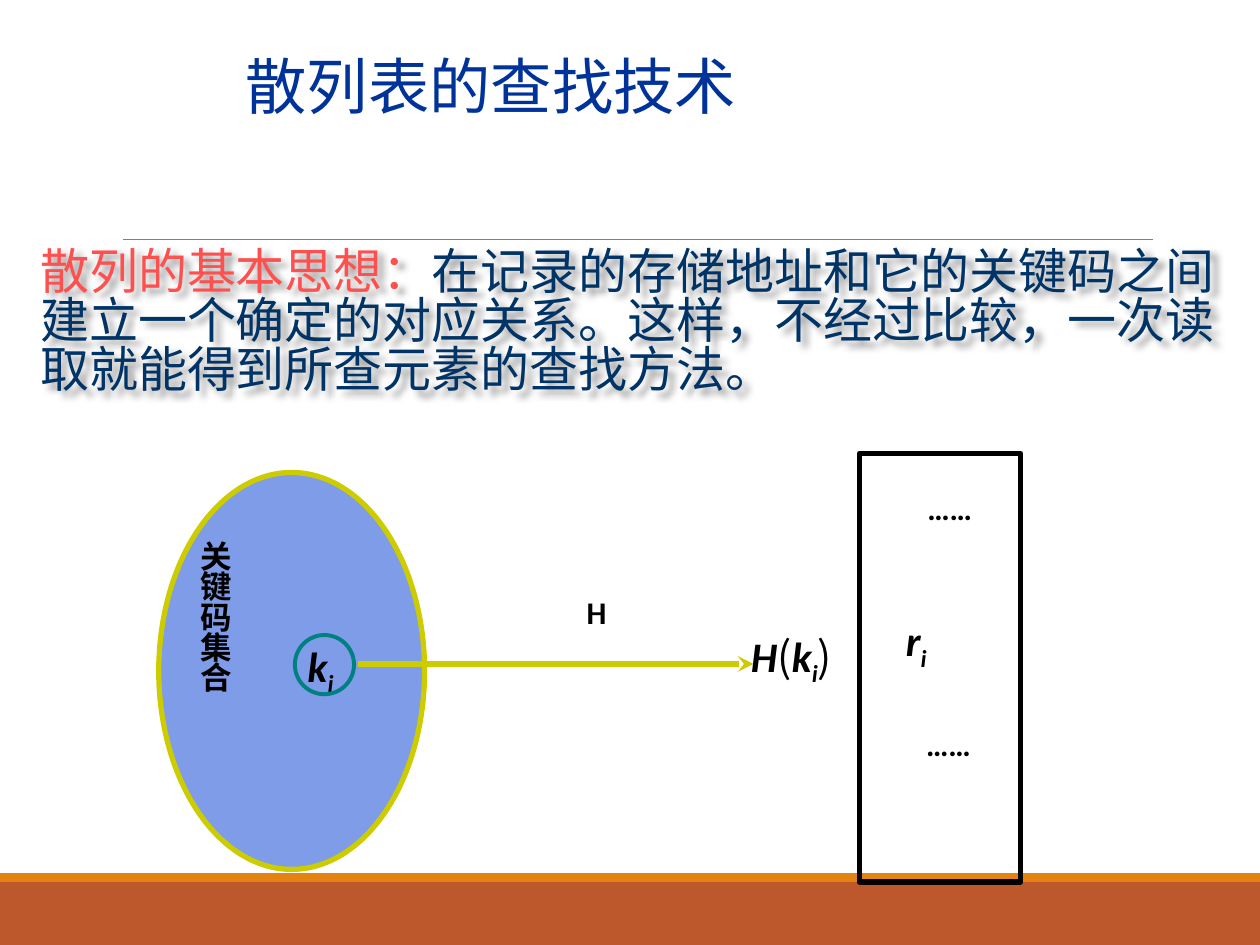
from dataclasses import dataclass

from lxml.etree import SubElement
from pptx import Presentation
from pptx.dml.color import RGBColor
from pptx.enum.shapes import MSO_CONNECTOR as Link, MSO_SHAPE as Shape
from pptx.enum.text import MSO_ANCHOR as Anchor, PP_ALIGN as Align
from pptx.oxml.ns import qn
from pptx.util import Inches, Pt

CJK = "Noto Sans CJK SC"
OLIVE = "CCCC00"
CELL = 0.1
LABEL = {"size": Pt(18), "name": "Calibri", "bold": True}
SYMBOL = {"size": Pt(24), "name": "Calibri", "bold": True, "italic": True}
BRACKET = {"size": Pt(24), "name": CJK, "bold": False, "italic": False}
KEY = [("k", SYMBOL), ("i", SYMBOL)]
RECORD = [("r", SYMBOL), ("i", SYMBOL)]


@dataclass
class Box:
    """An area measured in grid columns and rows."""
    col: float
    row: float
    cols: float
    rows: float

    def area(self, col, row, cols, rows):
        """Return an area placed from this box's corner."""
        return Box(self.col + col, self.row + row, cols, rows)

    def lengths(self):
        """Return left, top, width and height as slide lengths."""
        return [Inches(n * CELL) for n in (self.col, self.row, self.cols, self.rows)]


def color(value):
    """Turn a hex string into a colour."""
    return RGBColor.from_string(value)


def add_figure(page, kind, box, fill=None, line=None, width=3):
    """Add a preset shape with an optional fill and outline."""
    figure = page.shapes.add_shape(kind, *box.lengths())
    figure.shadow.inherit = False
    if fill:
        figure.fill.solid()
        figure.fill.fore_color.rgb = color(fill)
    else:
        figure.fill.background()
    if line:
        figure.line.color.rgb = color(line)
        figure.line.width = Pt(width)
    else:
        figure.line.fill.background()


def add_line(page, box, line, width, arrow=False):
    """Add a straight line across the box, with an optional arrowhead."""
    left, top, across, down = box.lengths()
    link = page.shapes.add_connector(Link.STRAIGHT, left, top, left + across, top + down)
    link.line.color.rgb = color(line)
    link.line.width = Pt(width)
    properties = link.element.spPr
    if arrow:
        SubElement(properties.find(qn("a:ln")), qn("a:tailEnd"), type="stealth")
    SubElement(properties, qn("a:effectLst"))


def write(shape, spans, ink="000000", spacing=0.96, align=Align.LEFT, anchor=Anchor.TOP):
    """Write one paragraph of formatted spans, lowering each index letter i."""
    frame = shape.text_frame
    settings = {"word_wrap": True, "vertical_anchor": anchor, "margin_left": 0,
                "margin_right": 0, "margin_top": 0, "margin_bottom": 0}
    for name, value in settings.items():
        setattr(frame, name, value)
    para = frame.paragraphs[0]
    para.alignment, para.line_spacing, para.space_before = align, spacing, 0
    for text, style in spans:
        span = para.add_run()
        span.text = text
        look = dict(style)
        span.font.color.rgb = color(look.pop("ink", ink))
        for name, value in look.items():
            setattr(span.font, name, value)
        properties = span.font._element
        SubElement(properties, qn("a:ea"), typeface=CJK)
        if text == "i":
            properties.set("baseline", "-25000")


def add_text(page, box, spans, **layout):
    """Add a text box holding the spans."""
    text_box = page.shapes.add_textbox(*box.lengths())
    write(text_box, spans, **layout)
    return text_box


def add_backdrop(page, box):
    """Draw the rule under the title and the two bars at the bottom."""
    add_figure(page, Shape.RECTANGLE, box.area(0, 70, box.cols, 5), "BD582C")
    add_figure(page, Shape.RECTANGLE, box.area(0, 69.3, box.cols, 0.7), "E48312")
    add_line(page, box.area(9.8, 19, 81.7, 0), "808080", 0.5)


def add_title(page, box):
    """Place and format the title."""
    title = page.shapes.title
    title.left, title.top, title.width, title.height = box.lengths()
    write(title, [("散列表的查找技术", {"size": Pt(35), "name": CJK})],
          ink="003399", spacing=0.84, anchor=Anchor.MIDDLE)


def add_idea(page, box):
    """Write the basic idea with a soft text shadow."""
    style = {"size": Pt(28), "name": CJK}
    text_box = add_text(page, box, [
        ("散列的基本思想：", {**style, "ink": "FF5050"}),
        ("在记录的存储地址和它的关键码之间建立一个确定的对应关系。"
         "这样，不经过比较，一次读取就能得到所查元素的查找方法。", style)],
        ink="003366", spacing=0.84)
    effects = SubElement(text_box.element.spPr, qn("a:effectLst"))
    shadow = SubElement(effects, qn("a:outerShdw"), blurRad="50800", dist="50800",
                        dir="2700000", algn="tl", rotWithShape="0")
    tint = SubElement(shadow, qn("a:srgbClr"), val="000000")
    SubElement(tint, qn("a:alpha"), val="40000")


def add_key_set(page, box):
    """Draw the set of keys with one key ringed."""
    add_figure(page, Shape.OVAL, box, "7E9CE8", OLIVE)
    add_text(page, box.area(3.3, 5.7, 3.4, 14.5),
             [("关键码集合", {**LABEL, "name": "Arial"})], spacing=0.8)
    add_text(page, box.area(11.8, 13.3, 4, 3.9), KEY)
    add_figure(page, Shape.OVAL, box.area(10.8, 12.9, 4.7, 4.7), None, "008080", 2.25)


def add_storage(page, box):
    """Draw the storage area with one record between dots."""
    add_figure(page, Shape.RECTANGLE, box, None, "000000")
    for col, row in ((5.4, 3), (5.3, 21.7)):
        add_text(page, box.area(col, row, 3.7, 2.9), [("……", LABEL)])
    add_text(page, box.area(3.7, 12.8, 4, 3.9), RECORD)


def add_mapping(page, box):
    """Draw the hash function arrow from the key to its address."""
    add_text(page, box.area(8.3, 0, 21.3, 2.9), [("H", LABEL)], align=Align.CENTER)
    add_text(page, box.area(31.2, 3.1, 8.1, 3.9),
             [("H", SYMBOL), ("(", BRACKET), *KEY, (")", BRACKET)], spacing=0.81)
    add_line(page, box.area(0, 5.4, 31.4, 0), OLIVE, 3, arrow=True)


def main():
    """Build and save the slide."""
    deck = Presentation()
    deck.slide_width, deck.slide_height = Inches(10), Inches(7.5)
    page = deck.slides.add_slide(deck.slide_layouts[5])
    add_backdrop(page, Box(0, 0, 100, 75))
    add_title(page, Box(19.5, 4.3, 60.1, 5.9))
    add_idea(page, Box(3.2, 19.8, 93.3, 14.1))
    add_key_set(page, Box(12.6, 37.5, 21.1, 31.5))
    add_storage(page, Box(68.2, 36, 12.8, 34))
    add_mapping(page, Box(28.4, 47.3, 39.3, 8.1))
    deck.save("out.pptx")


if __name__ == "__main__":
    main()
